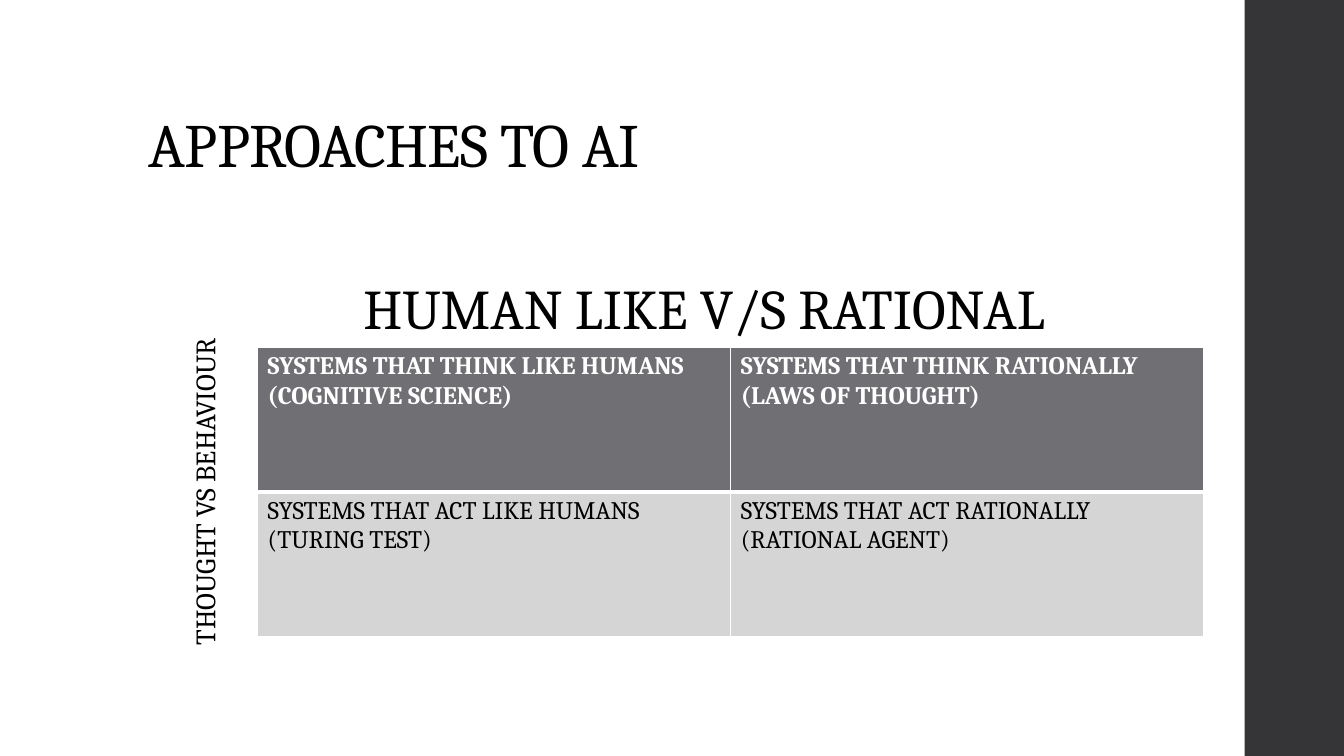
import pptx
import pptx.util
import pptx.dml.color
import pptx.enum.shapes
import pptx.enum.text
import pptx.oxml

Pt = pptx.util.Pt
RGB = pptx.dml.color.RGBColor
ALIGN = pptx.enum.text.PP_ALIGN
ANCHOR = pptx.enum.text.MSO_ANCHOR

BLACK = RGB(0x00, 0x00, 0x00)
WHITE = RGB(0xFF, 0xFF, 0xFF)
DARK = RGB(0x35, 0x35, 0x37)
GREY = RGB(0x6F, 0x6F, 0x74)
PALE = RGB(0xD5, 0xD5, 0xD6)
FONT = "Cambria"
WIDE, HIGH = 960, 540

CELLS = [
    ["SYSTEMS THAT THINK LIKE HUMANS (COGNITIVE SCIENCE)",
     "SYSTEMS THAT THINK RATIONALLY (LAWS OF THOUGHT)"],
    ["SYSTEMS THAT ACT LIKE HUMANS (TURING TEST)",
     "SYSTEMS THAT ACT RATIONALLY (RATIONAL AGENT)"],
]


def write(frame, text, size, color=BLACK, bold=False, align=ALIGN.LEFT,
          space=None, track=None):
    frame.word_wrap = True
    para = frame.paragraphs[0]
    para.alignment = align
    if space:
        para.line_spacing = space
    run = para.add_run()
    run.text = text
    run.font.name = FONT
    run.font.size = Pt(size)
    run.font.bold = bold
    run.font.color.rgb = color
    if track:
        run.font._element.set("spc", str(int(track * 100)))


def border(cell, **widths):
    props = cell._tc.get_or_add_tcPr()
    space = "http://schemas.openxmlformats.org/drawingml/2006/main"
    for side in "LRTB":
        props.append(pptx.oxml.parse_xml(
            f'<a:ln{side} xmlns:a="{space}" w="{Pt(widths.get(side, 1))}">'
            f'<a:solidFill><a:srgbClr val="{WHITE}"/></a:solidFill>'
            f'</a:ln{side}>'))


def side_bar(slide, x, y, w, h):
    bar = slide.shapes.add_shape(pptx.enum.shapes.MSO_SHAPE.RECTANGLE,
                                 Pt(x), Pt(y), Pt(w), Pt(h))
    bar.shadow.inherit = False
    bar.fill.solid()
    bar.fill.fore_color.rgb = DARK
    bar.line.fill.background()


def heading(slide, x, y, w, h):
    title = slide.shapes.title
    title.left, title.top, title.width, title.height = map(Pt, (x, y, w, h))
    title.text_frame.vertical_anchor = ANCHOR.BOTTOM
    write(title.text_frame, "APPROACHES TO AI", 44, space=0.9, track=-0.5)


def label(slide, x, y, w, h, text, size, turn=0):
    box = slide.shapes.add_textbox(Pt(x), Pt(y), Pt(w), Pt(h))
    box.rotation = turn
    write(box.text_frame, text, size, align=ALIGN.CENTER)


def matrix(slide, x, y, w, h):
    table = slide.shapes.add_table(2, 2, Pt(x), Pt(y), Pt(w), Pt(h)).table
    table.horz_banding = False
    looks = [(GREY, WHITE, True, {"B": 3}), (PALE, BLACK, False, {"T": 3})]
    for r, (fill, color, bold, edges) in enumerate(looks):
        for c, text in enumerate(CELLS[r]):
            cell = table.cell(r, c)
            border(cell, **edges)
            cell.fill.solid()
            cell.fill.fore_color.rgb = fill
            write(cell.text_frame, text, 18, color=color, bold=bold)


def main():
    deck = pptx.Presentation()
    deck.slide_width, deck.slide_height = Pt(WIDE), Pt(HIGH)
    slide = deck.slides.add_slide(deck.slide_layouts[5])
    side_bar(slide, 889, 0, WIDE - 889, HIGH)
    heading(slide, 99, 29, 763, 104)
    matrix(slide, 184, 248, 676, 207)
    label(slide, 189, 191.5, 628, 55.5, "HUMAN LIKE V/S RATIONAL", 40)
    label(slide, -84, 335.5, 460, 31.5, "THOUGHT VS BEHAVIOUR", 20, turn=270)
    deck.save("out.pptx")


if __name__ == "__main__":
    main()
